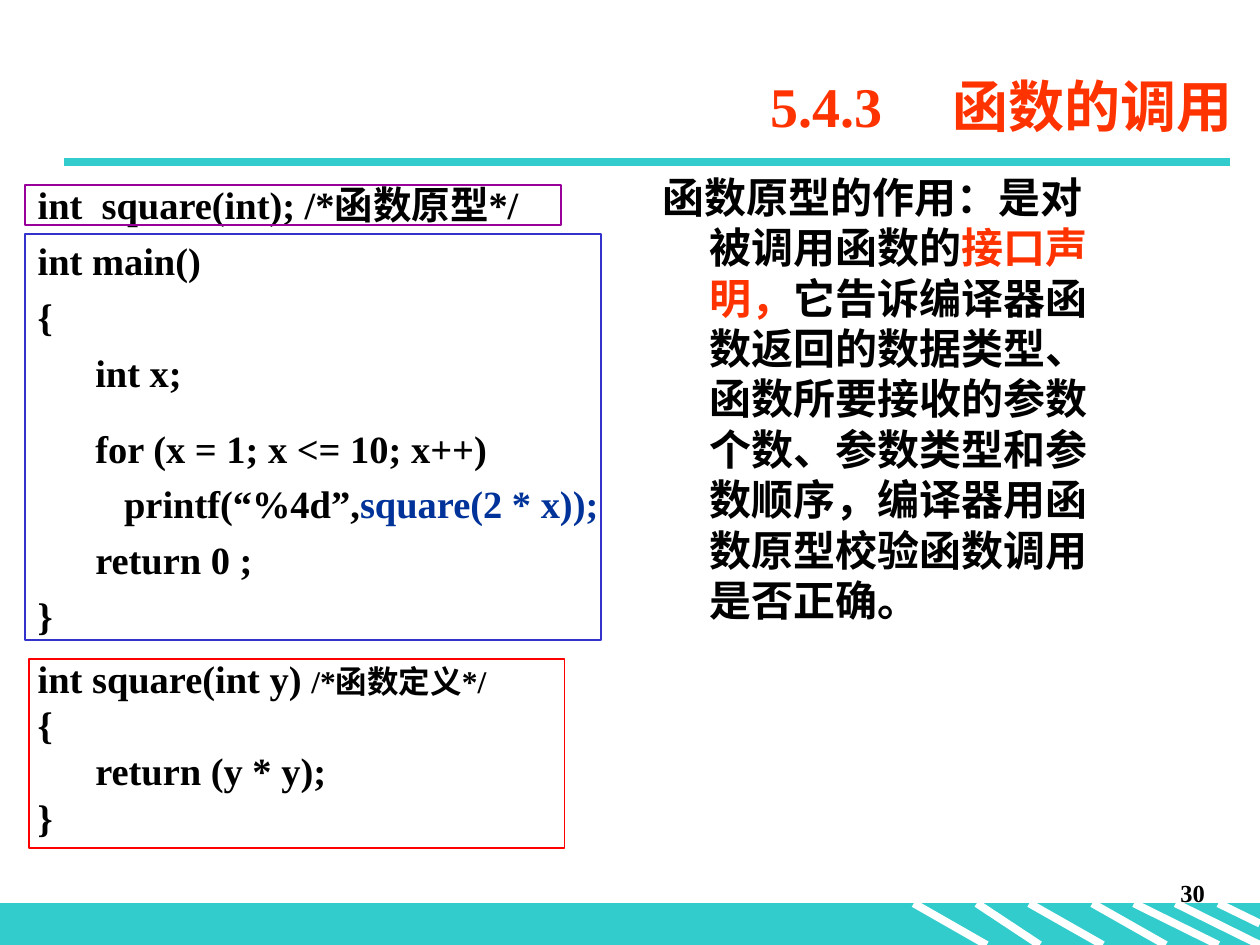
from lxml import etree
from pptx import Presentation
from pptx import util as u
from pptx.dml.color import RGBColor
from pptx.enum import shapes, text
from pptx.oxml.ns import qn

TEAL = RGBColor(0x33, 0xCC, 0xCC)
WHITE = RGBColor(0xFF, 0xFF, 0xFF)
BLACK = RGBColor(0, 0, 0)
ORANGE = RGBColor(0xFF, 0x33, 0x00)
NAVY = RGBColor(0x00, 0x33, 0x99)
RED = RGBColor(0xFF, 0, 0)
BLUE = RGBColor(0x33, 0x33, 0xCC)
PURPLE = RGBColor(0x99, 0, 0x99)

BAND_TOP, PAGE_BOTTOM, PAGE_RIGHT = 18.21, 19.05, 25.4
STRIPES = [
    (18.42, 19.89, PAGE_BOTTOM),
    (19.69, 20.96, PAGE_BOTTOM),
    (20.75, 22.23, PAGE_BOTTOM),
    (22.02, 23.5, PAGE_BOTTOM),
    (22.86, 24.56, PAGE_BOTTOM),
    (23.7, PAGE_RIGHT, PAGE_BOTTOM),
    (24.56, PAGE_RIGHT, 18.62),
]
FRAMES = [
    ((0.58, 13.28, 10.8, 3.81), RED),
    ((0.51, 4.72, 11.61, 8.18), BLUE),
    ((0.51, 3.73, 10.8, 0.81), PURPLE),
]
CODE = [
    (0, [("int  square(int); /*函数原型*/", {})]),
    (5.5, [("int main()", {})]),
    (5.5, [("{", {})]),
    (5.5, [("      int x;", {})]),
    (17, [("      for (x = 1; x <= 10; x++)", {})]),
    (5.5, [("         printf(“%4d”,", {}), ("square(2 * x));", {"color": NAVY})]),
    (5.5, [("      return 0 ;", {})]),
    (5.5, [("}", {})]),
    (9.6, [("int square(int y) ", {}), ("/*函数定义*/", {"size": 18})]),
    (0, [("{", {})]),
    (0, [("      return (y * y);", {})]),
    (0, [("}", {})]),
]
PURPOSE = [(0, [
    ("函数原型的作用：是对被调用函数的", {}),
    ("接口声明，", {"color": ORANGE}),
    ("它告诉编译器函数返回的数据类型、函数所要接收的参数个数、参数类型和参数顺序，"
     "编译器用函数原型校验函数调用是否正确。", {}),
])]


def set_all(target, values):
    """Set every named attribute of the target."""
    for name, value in values.items():
        setattr(target, name, value)


def add_rectangle(slide, place, outline, width, fill=None):
    """Add a rectangle, filled or hollow."""
    rectangle = slide.shapes.add_shape(shapes.MSO_SHAPE.RECTANGLE, *map(u.Cm, place))
    rectangle.shadow.inherit = False
    if fill is None:
        rectangle.fill.background()
    else:
        rectangle.fill.solid()
        rectangle.fill.fore_color.rgb = fill
    rectangle.line.color.rgb = outline
    rectangle.line.width = u.Pt(width)


def add_rule(slide, ends, color):
    """Add a thick straight line between two points."""
    rule = slide.shapes.add_connector(shapes.MSO_CONNECTOR.STRAIGHT, *map(u.Cm, ends))
    rule.line.color.rgb = color
    rule.line.width = u.Pt(4.5)
    etree.SubElement(rule._element.spPr, qn("a:effectLst"))


def add_text(slide, place, paragraphs, size, color=BLACK, layout=None,
             anchor=text.MSO_ANCHOR.TOP, hanging=0):
    """Add bold text from (space before, runs) paragraphs."""
    frame = slide.shapes.add_textbox(*map(u.Cm, place)).text_frame
    set_all(frame, {"word_wrap": True, "vertical_anchor": anchor})
    for index, (space, runs) in enumerate(paragraphs):
        paragraph = frame.paragraphs[0] if index == 0 else frame.add_paragraph()
        set_all(paragraph, {"space_before": u.Pt(space), **(layout or {})})
        if hanging:
            properties = paragraph._p.get_or_add_pPr()
            properties.set("marL", str(u.Cm(hanging)))
            properties.set("indent", str(-u.Cm(hanging)))
        for words, changes in runs:
            run = paragraph.add_run()
            run.text = words
            set_all(run.font, {"name": "Times New Roman", "bold": True,
                               "size": u.Pt(changes.get("size", size))})
            run.font.color.rgb = changes.get("color", color)


def main():
    """Build the slide and save it."""
    deck = Presentation()
    set_all(deck, {"slide_width": u.Cm(PAGE_RIGHT), "slide_height": u.Cm(PAGE_BOTTOM)})
    slide = deck.slides.add_slide(deck.slide_layouts[6])

    band = (0, BAND_TOP, PAGE_RIGHT, PAGE_BOTTOM - BAND_TOP)
    add_rectangle(slide, band, TEAL, 0.75, TEAL)
    for start, end, bottom in STRIPES:
        add_rule(slide, (start, BAND_TOP, end, bottom), WHITE)
    add_rule(slide, (1.3, 3.27, 24.8, 3.27), TEAL)

    right = {"alignment": text.PP_ALIGN.RIGHT}
    add_text(slide, (19.25, 17.58, 5.29, 1.27), [(0, [("30", {})])], 14, layout=right)
    add_text(slide, (3.5, 1.12, 21.6, 2), [(0, [("5.4.3 　函数的调用", {})])], 32, ORANGE,
             right, text.MSO_ANCHOR.MIDDLE)
    add_text(slide, (0.51, 3.53, 17.4, 14.66), CODE, 22,
             layout={"line_spacing": u.Pt(26.4)})
    for place, outline in FRAMES:
        add_rectangle(slide, place, outline, 1)
    add_text(slide, (13.1, 3.33, 9.4, 10.85), PURPOSE, 24,
             layout={"line_spacing": u.Pt(28.8)}, hanging=0.95)
    deck.save("out.pptx")


if __name__ == "__main__":
    main()
